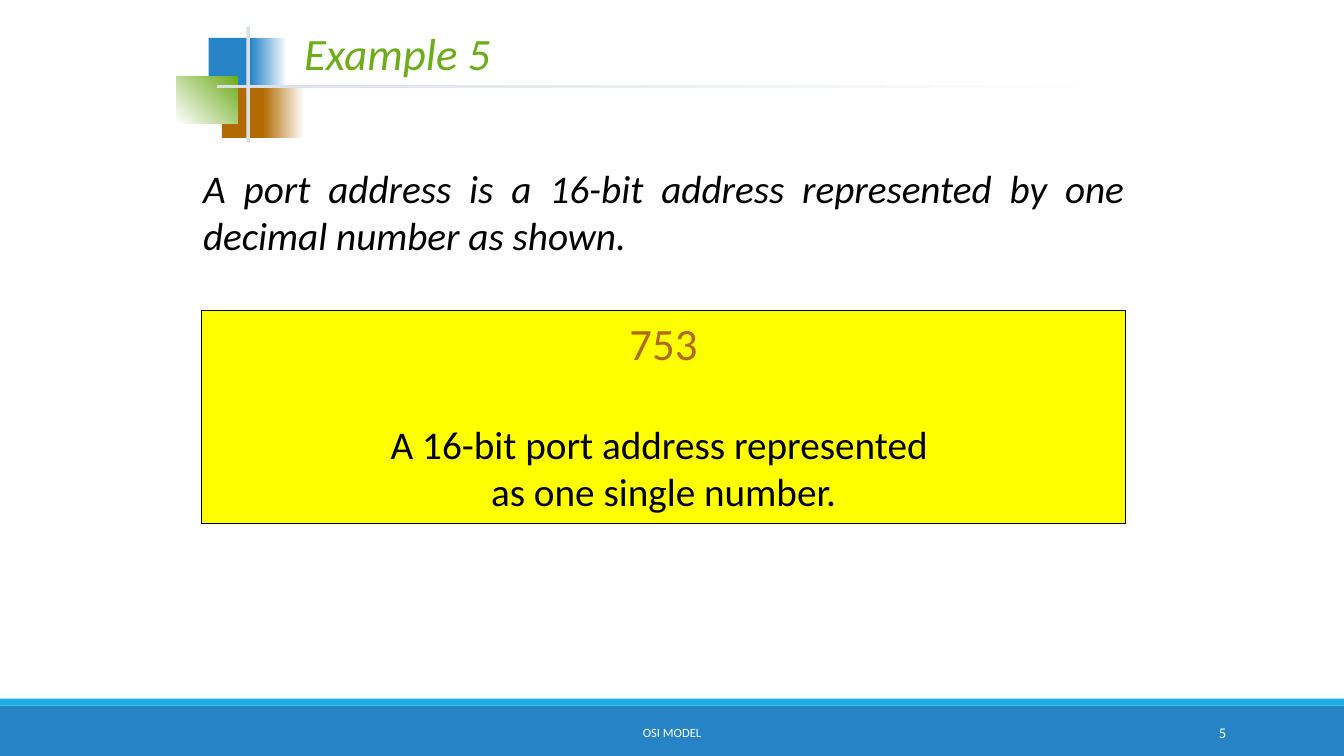
from pptx import Presentation
from pptx.dml.color import RGBColor
from pptx.enum.shapes import MSO_SHAPE
from pptx.enum.text import MSO_ANCHOR, PP_ALIGN
from pptx.util import Pt

W, H = 960, 540
FONT = "Calibri"
COLORS = {
    "blue": "2683C6", "cyan": "1CADE4", "brown": "B26B02", "green": "6EAC1C",
    "grey": "D9E0E6", "yellow": "FFFF00", "black": "000000", "white": "FFFFFF",
}


def rgb(name):
    return RGBColor.from_string(COLORS[name])


def write(p, text, size, color="black", italic=False, align=PP_ALIGN.LEFT, after=0):
    """Fill paragraph p; a vertical tab in the text is a line break."""
    p.text = text
    p.alignment = align
    p.space_after = Pt(after)
    for r in p.runs:
        f = r.font
        f.name, f.size, f.italic = FONT, Pt(size), italic
        f.color.rgb = rgb(color)


def add_text(s, box, text, anchor=MSO_ANCHOR.TOP, **fmt):
    tf = s.shapes.add_textbox(*map(Pt, box)).text_frame
    tf.word_wrap = True
    tf.vertical_anchor = anchor
    write(tf.paragraphs[0], text, **fmt)


def add_rect(s, box, color, fade_to=None, angle=0, line=None):
    """Rectangle with a plain fill, or a gradient when fade_to is given."""
    sp = s.shapes.add_shape(MSO_SHAPE.RECTANGLE, *map(Pt, box))
    sp.shadow.inherit = False
    if fade_to:
        sp.fill.gradient()
        sp.fill.gradient_angle = angle
        for stop, name, pos in zip(sp.fill.gradient_stops, (color, fade_to), (0, 1)):
            stop.color.rgb = rgb(name)
            stop.position = pos
    else:
        sp.fill.solid()
        sp.fill.fore_color.rgb = rgb(color)
    if line:
        sp.line.color.rgb = rgb(line)
        sp.line.width = Pt(0.75)
    else:
        sp.line.fill.background()
    return sp


def add_ornament(s, x, y):
    """Overlapping squares with a cross of two thin bars."""
    add_rect(s, (x + 23, y + 8, 34.5, 37.5), "blue")
    add_rect(s, (x + 53, y + 8, 26, 37.5), "blue", "white")
    add_rect(s, (x + 32.5, y + 42, 33, 37.5), "brown")
    add_rect(s, (x + 62, y + 42, 29, 37.5), "brown", "white")
    add_rect(s, (x, y + 36, 44, 33), "white", "green", angle=45)
    add_rect(s, (x + 50, y, 2.5, 83), "grey")
    add_rect(s, (x + 29, y + 41.5, 648, 2.5), "grey", "white")


def add_title(s, box, text):
    sp = s.shapes.title
    sp.left, sp.top, sp.width, sp.height = map(Pt, box)
    tf = sp.text_frame
    tf.word_wrap = False
    tf.vertical_anchor = MSO_ANCHOR.TOP
    write(tf.paragraphs[0], text, 32, "green", italic=True)


def add_answer(s, box, number, caption):
    tf = add_rect(s, box, "yellow", line="black").text_frame
    tf.word_wrap = True
    tf.vertical_anchor = MSO_ANCHOR.TOP
    write(tf.paragraphs[0], number, 32, "brown", align=PP_ALIGN.CENTER, after=36)
    write(tf.add_paragraph(), caption, 28, align=PP_ALIGN.CENTER)


def add_footer(s, y, label, number):
    add_rect(s, (0, y + 5, W, H - y - 5), "blue")
    add_rect(s, (0, y, W, 5), "cyan")
    fmt = dict(anchor=MSO_ANCHOR.MIDDLE, color="white")
    add_text(s, (290, y + 9.5, 380, 29), label, size=9, align=PP_ALIGN.CENTER, **fmt)
    add_text(s, (780, y + 9.5, 103, 29), number, size=10.5, align=PP_ALIGN.RIGHT, **fmt)


def main():
    prs = Presentation()
    prs.slide_width, prs.slide_height = Pt(W), Pt(H)
    s = prs.slides.add_slide(prs.slide_layouts[5])
    add_footer(s, 499, "OSI MODEL", "5")
    add_ornament(s, 126, 19)
    add_title(s, (210, 14.5, 149, 46), "Example 5")
    add_text(s, (138, 114, 672, 74),
             "A port address is a 16-bit address represented by one "
             "decimal number as shown.",
             size=28, italic=True, align=PP_ALIGN.JUSTIFY)
    add_answer(s, (144, 222, 660, 152), "753",
               "A 16-bit port address represented \vas one single number.")
    prs.save("out.pptx")


if __name__ == "__main__":
    main()
